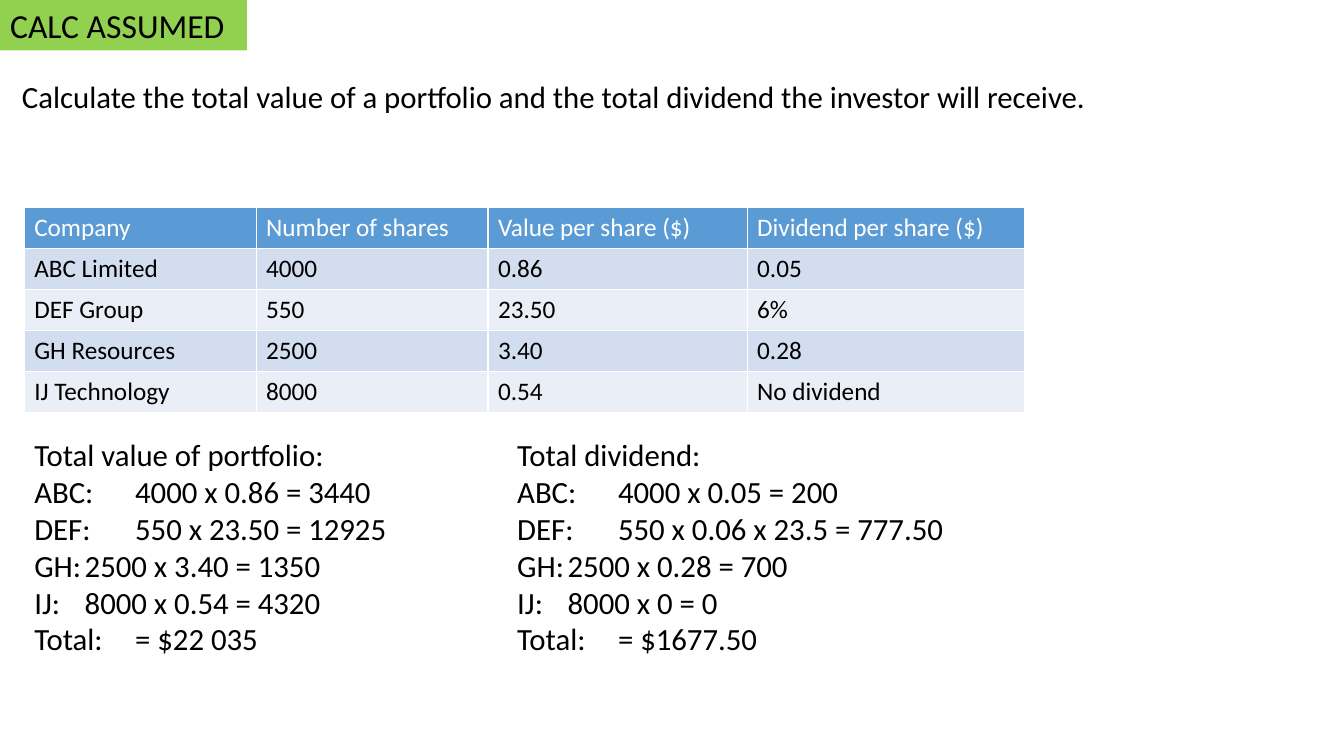
from dataclasses import dataclass

from lxml.etree import SubElement
from pptx import Presentation
from pptx.dml.color import RGBColor
from pptx.enum.text import MSO_ANCHOR, MSO_AUTO_SIZE, PP_ALIGN
from pptx.oxml.ns import qn
from pptx.util import Inches, Pt


@dataclass(frozen=True)
class Theme:
    font: str = "Calibri"
    text: str = "000000"
    light: str = "FFFFFF"
    tag: str = "92D050"
    header: str = "5B9BD5"
    bands: tuple = ("D2DEEF", "EAEFF7")
    title: int = 24
    body: int = 22
    cell: int = 18


CELL = 0.1
QUESTION = "Calculate the total value of a portfolio and the total dividend the investor will receive."
HOLDINGS = [
    ("Company", "Number of shares", "Value per share ($)", "Dividend per share ($)"),
    ("ABC Limited", "4000", "0.86", "0.05"),
    ("DEF Group", "550", "23.50", "6%"),
    ("GH Resources", "2500", "3.40", "0.28"),
    ("IJ Technology", "8000", "0.54", "No dividend"),
]
VALUE = [
    ("Total value of portfolio:", None),
    ("ABC:\t4000 x 0.86 = 3440", 10),
    ("DEF:\t550 x 23.50 = 12925", 10.7),
    ("GH:\t2500 x 3.40 = 1350", 10),
    ("IJ:\t8000 x 0.54 = 4320", 10),
    ("Total:\t= $22 035", 22.8),
]
DIVIDEND = [
    ("Total dividend:", None),
    ("ABC:\t4000 x 0.05 = 200", 10),
    ("DEF:\t550 x 0.06 x 23.5 = 777.50", 11.4),
    ("GH:\t2500 x 0.28 = 700", 10),
    ("IJ:\t8000 x 0 = 0", 13.4),
    ("Total:\t= $1677.50", 23.5),
]


def grid(n):
    return Inches(n * CELL)


def rgb(value):
    return RGBColor.from_string(value)


def write(p, text, *, font, size, color, tab=None):
    p.alignment = PP_ALIGN.LEFT
    p.space_before = Pt(0)
    pPr = p._p.get_or_add_pPr()
    pPr.set("marL", "0")
    pPr.set("indent", "0")
    SubElement(pPr, qn("a:buNone"))
    if tab is not None:
        tabs = SubElement(pPr, qn("a:tabLst"))
        SubElement(tabs, qn("a:tab"), pos=str(grid(tab)), algn="l")
    r = p.add_run()
    r.text = text
    r.font.name = font
    r.font.size = Pt(size)
    r.font.bold = False
    r.font.color.rgb = rgb(color)


class Board:
    def __init__(self, slide, theme):
        self.s = slide
        self.theme = theme

    def place(self, sp, box, anchor=MSO_ANCHOR.TOP):
        sp.left, sp.top, sp.width, sp.height = map(grid, box)
        tf = sp.text_frame
        tf.word_wrap = True
        tf.auto_size = MSO_AUTO_SIZE.NONE
        tf.vertical_anchor = anchor
        return tf

    def title(self, text, box):
        t = self.theme
        sp = self.s.shapes.title
        tf = self.place(sp, box, MSO_ANCHOR.MIDDLE)
        sp.fill.solid()
        sp.fill.fore_color.rgb = rgb(t.tag)
        write(tf.paragraphs[0], text, font=t.font, size=t.title, color=t.text)

    def question(self, text, box):
        t = self.theme
        tf = self.place(self.s.shapes.add_textbox(*map(grid, box)), box)
        write(tf.paragraphs[0], text, font=t.font, size=t.body, color=t.text)

    def working(self, idx, lines, box):
        t = self.theme
        tf = self.place(self.s.placeholders[idx], box)
        for i, (text, tab) in enumerate(lines):
            p = tf.add_paragraph() if i else tf.paragraphs[0]
            write(p, text, font=t.font, size=t.body, color=t.text, tab=tab)

    def table(self, data, left, top, widths, row):
        t = self.theme
        box = (left, top, sum(widths), row * len(data))
        tbl = self.s.shapes.add_table(len(data), len(widths), *map(grid, box)).table
        for col, width in zip(tbl.columns, widths):
            col.width = grid(width)
        for i, values in enumerate(data):
            tbl.rows[i].height = grid(row)
            fill = t.bands[(i - 1) % 2] if i else t.header
            color = t.text if i else t.light
            for j, text in enumerate(values):
                cell = tbl.cell(i, j)
                cell.fill.solid()
                cell.fill.fore_color.rgb = rgb(fill)
                write(cell.text_frame.paragraphs[0], text, font=t.font, size=t.cell, color=color)


def main():
    prs = Presentation()
    prs.slide_width, prs.slide_height = Inches(13.33), Inches(7.5)
    board = Board(prs.slides.add_slide(prs.slide_layouts[3]), Theme())
    board.title("CALC ASSUMED", (0, 0, 24.5, 5))
    board.question(QUESTION, (1.2, 7.2, 129, 4.7))
    board.table(HOLDINGS, 2.4, 20.6, (23, 23, 25.7, 27.5), 4.06)
    for idx, lines, left in ((1, VALUE, 2.4), (2, DIVIDEND, 50.3)):
        board.working(idx, lines, (left, 42.7, 52.9, 26.3))
    prs.save("out.pptx")


if __name__ == "__main__":
    main()
